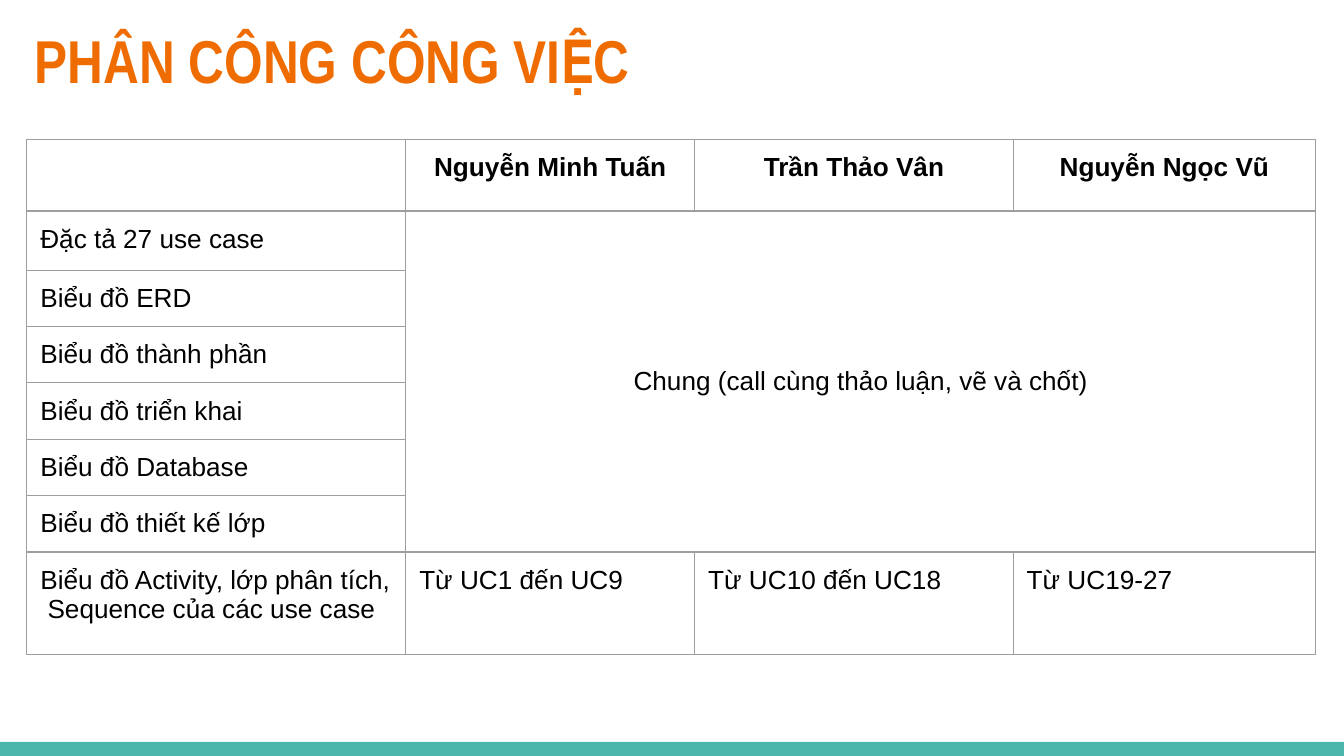
from lxml.etree import SubElement
from pptx import Presentation
from pptx.dml.color import RGBColor
from pptx.enum.shapes import MSO_SHAPE
from pptx.enum.text import MSO_ANCHOR, PP_ALIGN
from pptx.oxml.ns import qn
from pptx.util import Inches, Pt

COLORS = {"title": "EF6C00", "text": "000000", "border": "9E9E9E", "footer": "4DB6AC"}
INSET = 0.1
COLUMN_WIDTHS = [2.82, 2.15, 2.37, 2.25]
ROW_HEIGHTS = [0.53, 0.44, 0.41, 0.42, 0.42, 0.42, 0.42, 0.76]
MEMBERS = ["Nguyễn Minh Tuấn", "Trần Thảo Vân", "Nguyễn Ngọc Vũ"]
SHARED_TASKS = [
    "Đặc tả 27 use case",
    "Biểu đồ ERD",
    "Biểu đồ thành phần",
    "Biểu đồ triển khai",
    "Biểu đồ Database",
    "Biểu đồ thiết kế lớp",
]
SHARED_NOTE = "Chung (call cùng thảo luận, vẽ và chốt)"
SPLIT_TASK = [
    "Biểu đồ Activity, lớp phân tích,  Sequence của các use case",
    "Từ UC1 đến UC9",
    "Từ UC10 đến UC18",
    "Từ UC19-27",
]


def color(name):
    return RGBColor.from_string(COLORS[name])


def format_text(text_frame, font_name, size, color_name, bold, align):
    paragraph = text_frame.paragraphs[0]
    paragraph.alignment = align
    for run in paragraph.runs:
        run.font.name = font_name
        run.font.size = Pt(size)
        run.font.bold = bold
        run.font.color.rgb = color(color_name)


def set_insets(target):
    """Set equal margins on a text frame or a table cell."""
    for side in ("left", "right", "top", "bottom"):
        setattr(target, f"margin_{side}", Inches(INSET))


def add_footer_band(slide, left, top, width, height):
    band = slide.shapes.add_shape(
        MSO_SHAPE.RECTANGLE, Inches(left), Inches(top), Inches(width), Inches(height))
    band.shadow.inherit = False
    band.fill.solid()
    band.fill.fore_color.rgb = color("footer")
    band.line.fill.background()


def place_title(slide, text, left, top, width, height):
    title = slide.shapes.title
    title.left, title.top = Inches(left), Inches(top)
    title.width, title.height = Inches(width), Inches(height)
    frame = title.text_frame
    frame.text = text
    frame.word_wrap = True
    frame.vertical_anchor = MSO_ANCHOR.TOP
    set_insets(frame)
    format_text(frame, "Arial Narrow", 32.4, "title", True, PP_ALIGN.LEFT)


def style_cell(cell):
    """Give a cell thin borders on all sides and no fill."""
    properties = cell._tc.get_or_add_tcPr()
    for tag in ("a:lnL", "a:lnR", "a:lnT", "a:lnB"):
        line = SubElement(properties, qn(tag), w=str(Pt(0.75)))
        fill = SubElement(line, qn("a:solidFill"))
        SubElement(fill, qn("a:srgbClr"), val=COLORS["border"])
    cell.fill.background()


def write_cell(cell, text, bold=False, align=PP_ALIGN.LEFT, anchor=MSO_ANCHOR.TOP):
    cell.text_frame.text = text
    cell.vertical_anchor = anchor
    set_insets(cell)
    format_text(cell.text_frame, "Arial", 14, "text", bold, align)


def add_task_table(slide, left, top):
    table = slide.shapes.add_table(
        len(ROW_HEIGHTS), len(COLUMN_WIDTHS), Inches(left), Inches(top),
        Inches(sum(COLUMN_WIDTHS)), Inches(sum(ROW_HEIGHTS))).table
    table.first_row = False
    table.horz_banding = False
    for column, width in zip(table.columns, COLUMN_WIDTHS):
        column.width = Inches(width)
    for row, height in zip(table.rows, ROW_HEIGHTS):
        row.height = Inches(height)
    for cell in table.iter_cells():
        style_cell(cell)

    for column, member in enumerate(MEMBERS, start=1):
        write_cell(table.cell(0, column), member, True, PP_ALIGN.CENTER)
    for row, task in enumerate(SHARED_TASKS, start=1):
        write_cell(table.cell(row, 0), task)
    shared_cell = table.cell(1, 1)
    shared_cell.merge(table.cell(len(SHARED_TASKS), len(MEMBERS)))
    write_cell(shared_cell, SHARED_NOTE, align=PP_ALIGN.CENTER, anchor=MSO_ANCHOR.MIDDLE)
    for column, text in enumerate(SPLIT_TASK):
        write_cell(table.cell(len(ROW_HEIGHTS) - 1, column), text)


def main():
    presentation = Presentation()
    presentation.slide_width = Inches(10)
    presentation.slide_height = presentation.slide_width * 9 // 16
    slide = presentation.slides.add_slide(presentation.slide_layouts[5])
    add_footer_band(slide, 0, 5.52, 10, 0.11)
    place_title(slide, "PHÂN CÔNG CÔNG VIỆC", 0.16, 0.07, 9.32, 0.77)
    add_task_table(slide, 0.2, 1.04)
    presentation.save("out.pptx")


if __name__ == "__main__":
    main()
